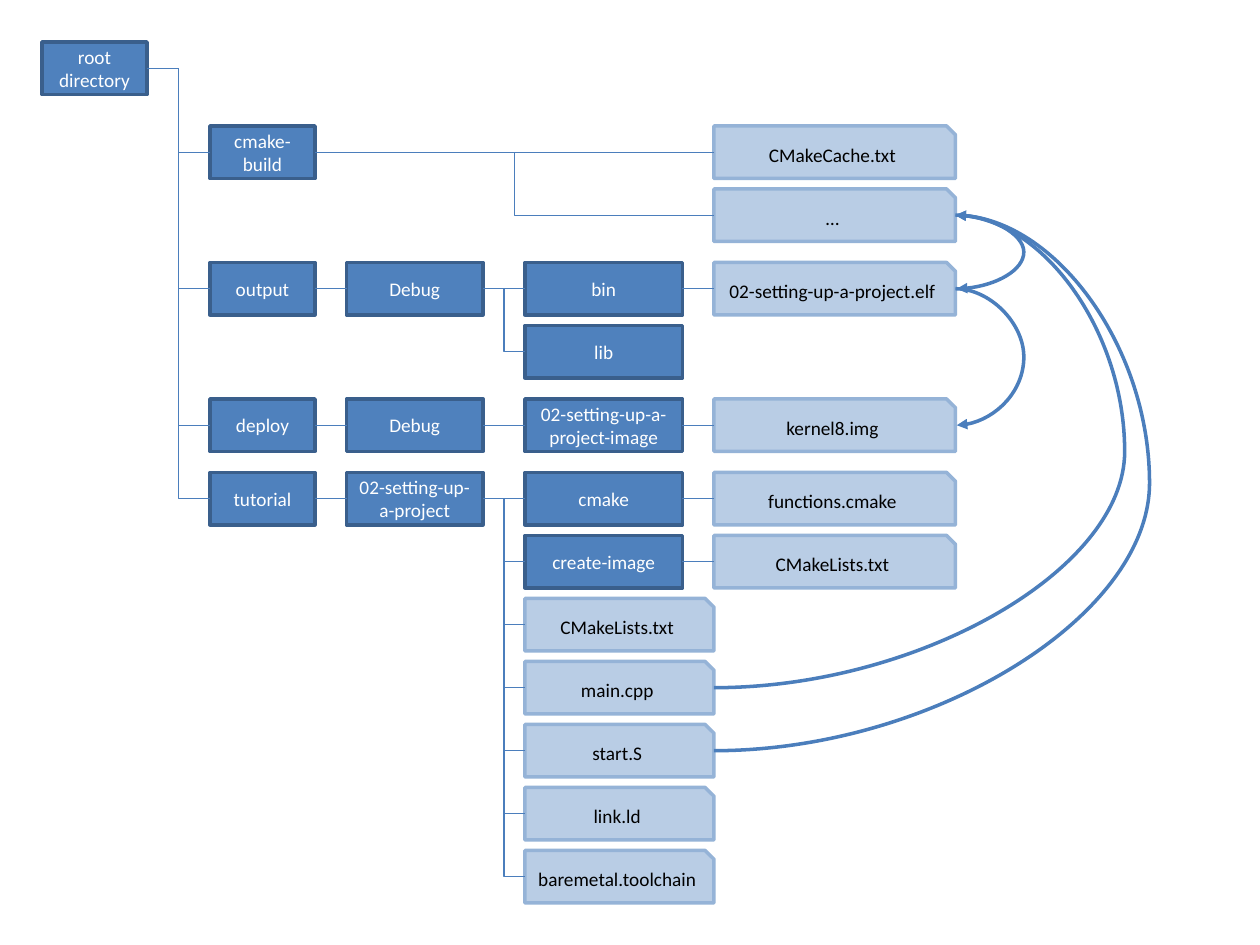
from lxml import etree
from pptx import Presentation
from pptx.dml.color import RGBColor
from pptx.enum.shapes import MSO_CONNECTOR, MSO_SHAPE
from pptx.enum.text import MSO_ANCHOR, PP_ALIGN
from pptx.oxml.ns import qn
from pptx.util import Emu, Pt

RECTANGLE, SNIPPED = MSO_SHAPE.RECTANGLE, MSO_SHAPE.SNIP_1_RECTANGLE
ELBOW, CURVE = MSO_CONNECTOR.ELBOW, MSO_CONNECTOR.CURVE
CENTER, MIDDLE = PP_ALIGN.CENTER, MSO_ANCHOR.MIDDLE
LEFT_SITE, RIGHT_SITE = 1, 3

PX = 9525  # EMU per px, 96 px to the inch
SLIDE_WIDTH, SLIDE_HEIGHT = 960, 720
NODE_HEIGHT, ROW_PITCH = 40, 48

COLORS = {
    "folder": "4F81BD", "folder_edge": "3A5F8C", "folder_text": "FFFFFF",
    "file": "B9CDE5", "file_edge": "95B3D7", "file_text": "000000",
    "link": "4B7EBC",
}
NODE_SHAPES = {"folder": RECTANGLE, "file": SNIPPED}

# Column: left edge and width
COLUMNS = {
    "root": (32, 80), "top": (160, 80), "project": (264, 104),
    "folders": (400, 120), "files": (400, 144), "contents": (544, 184),
}
# Group of rows: top of its first row
GROUPS = {"root": 32, "build": 96, "output": 200, "deploy": 304, "tutorial": 360}

# Key, parent, text, kind, column, group, row in group
NODES = [
    ("root", None, "root directory", "folder", "root", "root", 0),
    ("build", "root", "cmake-build", "folder", "top", "build", 0),
    ("cache", "build", "CMakeCache.txt", "file", "contents", "build", 0),
    ("objects", "build", "…", "file", "contents", "build", 1),
    ("output", "root", "output", "folder", "top", "output", 0),
    ("output debug", "output", "Debug", "folder", "project", "output", 0),
    ("bin", "output debug", "bin", "folder", "folders", "output", 0),
    ("lib", "output debug", "lib", "folder", "folders", "output", 1),
    ("elf", "bin", "02-setting-up-a-project.elf", "file", "contents", "output", 0),
    ("deploy", "root", "deploy", "folder", "top", "deploy", 0),
    ("deploy debug", "deploy", "Debug", "folder", "project", "deploy", 0),
    ("image", "deploy debug", "02-setting-up-a-project-image", "folder", "folders", "deploy", 0),
    ("kernel", "image", "kernel8.img", "file", "contents", "deploy", 0),
    ("tutorial", "root", "tutorial", "folder", "top", "tutorial", 0),
    ("project", "tutorial", "02-setting-up-a-project", "folder", "project", "tutorial", 0),
    ("cmake", "project", "cmake", "folder", "folders", "tutorial", 0),
    ("functions", "cmake", "functions.cmake", "file", "contents", "tutorial", 0),
    ("create", "project", "create-image", "folder", "folders", "tutorial", 1),
    ("create lists", "create", "CMakeLists.txt", "file", "contents", "tutorial", 1),
    ("lists", "project", "CMakeLists.txt", "file", "files", "tutorial", 2),
    ("main", "project", "main.cpp", "file", "files", "tutorial", 3),
    ("start", "project", "start.S", "file", "files", "tutorial", 4),
    ("link", "project", "link.ld", "file", "files", "tutorial", 5),
    ("toolchain", "project", "baremetal.toolchain", "file", "files", "tutorial", 6),
]

# Source, product, x of the outermost point of the curve
BUILD_STEPS = [
    ("main", "objects", 857), ("start", "objects", 876),
    ("objects", "elf", 781), ("elf", "kernel", 781),
]


def px(length):
    return Emu(length * PX)


def rgb(name):
    return RGBColor.from_string(COLORS[name])


def set_attributes(target, values):
    for name, value in values.items():
        setattr(target, name, value)


def style_line(line, color, points):
    line.color.rgb = rgb(color)
    line.width = Pt(points)


def add_node(slide, text, kind, column, group, row):
    left, width = COLUMNS[column]
    top = GROUPS[group] + row * ROW_PITCH
    shape = slide.shapes.add_shape(
        NODE_SHAPES[kind], px(left), px(top), px(width), px(NODE_HEIGHT))
    shape.shadow.inherit = False
    shape.fill.solid()
    shape.fill.fore_color.rgb = rgb(kind)
    style_line(shape.line, f"{kind}_edge", 2)
    set_attributes(shape.text_frame, {
        "text": text, "word_wrap": True, "vertical_anchor": MIDDLE})
    paragraph = shape.text_frame.paragraphs[0]
    paragraph.alignment = CENTER
    font = paragraph.runs[0].font
    set_attributes(font, {"name": "Calibri", "size": Pt(11)})
    font.color.rgb = rgb(f"{kind}_text")
    return shape


def add_link(slide, kind, source, target, target_site, points):
    """Glue a connector from the right side of source to a site of target."""
    connector = slide.shapes.add_connector(kind, 0, 0, 0, 0)
    connector.begin_connect(source, RIGHT_SITE)
    connector.end_connect(target, target_site)
    style_line(connector.line, "link", points)
    etree.SubElement(connector._element.spPr, qn("a:effectLst"))
    return connector


def add_build_arrow(slide, source, target, outer_x):
    """Curve out to outer_x and back to the right side of target."""
    connector = add_link(slide, CURVE, source, target, RIGHT_SITE, 2)
    if connector.width == 0:
        connector.end_x += PX  # the bulge is a multiple of the width
    bulge = (px(outer_x) - connector.begin_x) / connector.width
    properties = connector._element.spPr
    guides = properties.find(qn("a:prstGeom")).find(qn("a:avLst"))
    etree.SubElement(guides, qn("a:gd"), name="adj1", fmla=f"val {round(bulge * 100000)}")
    etree.SubElement(properties.find(qn("a:ln")), qn("a:tailEnd"), type="triangle")


def main():
    presentation = Presentation()
    set_attributes(presentation, {
        "slide_width": px(SLIDE_WIDTH), "slide_height": px(SLIDE_HEIGHT)})
    slide = presentation.slides.add_slide(presentation.slide_layouts[6])
    nodes = {key: add_node(slide, *details) for key, _, *details in NODES}
    for key, parent, *_ in NODES:
        if parent:
            add_link(slide, ELBOW, nodes[parent], nodes[key], LEFT_SITE, 0.75)
    for source, product, outer_x in BUILD_STEPS:
        add_build_arrow(slide, nodes[source], nodes[product], outer_x)
    presentation.save("out.pptx")


if __name__ == "__main__":
    main()
